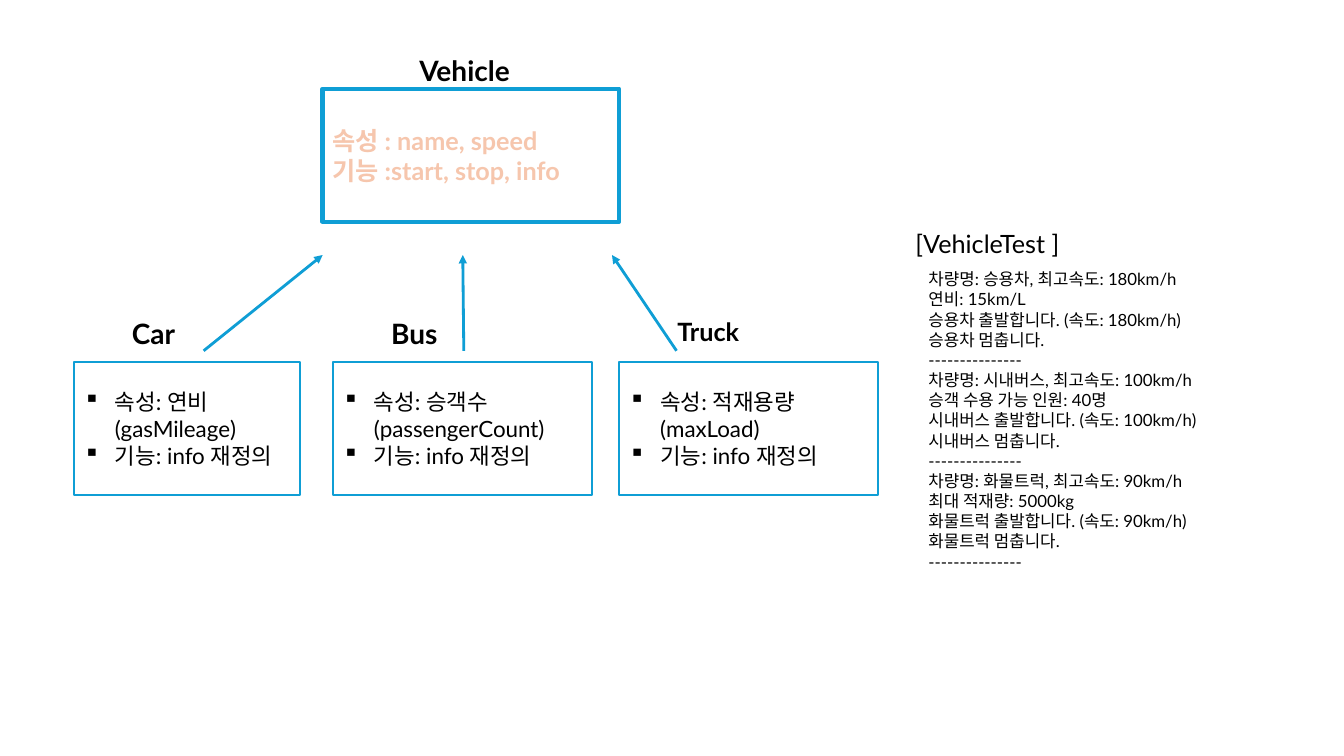
from dataclasses import dataclass

from lxml.etree import SubElement
from pptx import Presentation
from pptx.dml.color import RGBColor
from pptx.enum.shapes import MSO_CONNECTOR, MSO_SHAPE
from pptx.enum.text import MSO_ANCHOR, MSO_AUTO_SIZE, PP_ALIGN
from pptx.oxml.ns import qn
from pptx.util import Inches, Pt

COLORS = {
    "blue": "0F9ED5",
    "white": "FFFFFF",
    "black": "000000",
    "peach": "F6C6AD",
    "orange": "E97132",
}
FONT = "Lato"
BOX_HEIGHT = 1.32
CHILD_TOP = 3.59
LABEL_TOP = 3.09
ARROW_START, ARROW_END = 3.48, 2.53
INDENT = Inches(0.31)


@dataclass
class ChildClass:
    name: str
    attribute: str
    left: float
    width: float
    label_left: float
    label_width: float
    arrow_from: float
    arrow_to: float
    label_height: float = 0.44
    label_size: int = 20


CHILDREN = [
    ChildClass("Car", "연비(gasMileage)", 0.73, 2.25, 1.21, 0.65, 2.02, 3.2),
    ChildClass("Bus", "승객수(passengerCount)", 3.3, 2.57, 3.78, 0.68, 4.6, 4.59),
    ChildClass("Truck", "적재용량(maxLoad)", 6.14, 2.57, 6.62, 0.88, 6.71, 6.07, 0.4, 18),
]


@dataclass
class TestRun:
    vehicle: str
    speed: str
    detail: str

    def lines(self) -> list[str]:
        return [
            f"차량명: {self.vehicle}, 최고속도: {self.speed}",
            self.detail,
            f"{self.vehicle} 출발합니다. (속도: {self.speed})",
            f"{self.vehicle} 멈춥니다.",
            "-" * 15,
        ]


TEST_RUNS = [
    TestRun("승용차", "180km/h", "연비: 15km/L"),
    TestRun("시내버스", "100km/h", "승객 수용 가능 인원: 40명"),
    TestRun("화물트럭", "90km/h", "최대 적재량: 5000kg"),
]


def rgb(name: str) -> RGBColor:
    return RGBColor.from_string(COLORS[name])


def outline_text(span, color: str) -> None:
    """Stroke the letters; the line must come first in the run properties."""
    properties = span._r.get_or_add_rPr()
    stroke = SubElement(properties, qn("a:ln"), w=str(Pt(1.75)))
    fill = SubElement(stroke, qn("a:solidFill"))
    SubElement(fill, qn("a:srgbClr"), val=COLORS[color])
    properties.insert(0, stroke)


def write_text(shape, lines: list[str], size: int, color: str = "black",
               bold: bool = False, bullet: str = "", outline: str = "") -> None:
    frame = shape.text_frame
    frame.word_wrap = True
    for index, line in enumerate(lines):
        para = frame.add_paragraph() if index else frame.paragraphs[0]
        para.alignment = PP_ALIGN.LEFT
        span = para.add_run()
        span.text = line
        span.font.size = Pt(size)
        span.font.bold = bold
        span.font.name = FONT
        span.font.color.rgb = rgb(color)
        if bullet:
            properties = para._p.get_or_add_pPr()
            properties.set("marL", str(INDENT))
            properties.set("indent", str(-INDENT))
            SubElement(properties, qn("a:buChar"), char=bullet)
        if outline:
            outline_text(span, outline)


def add_box(page, left: float, top: float, width: float, line_width: float):
    box = page.shapes.add_shape(MSO_SHAPE.RECTANGLE, Inches(left), Inches(top),
                                Inches(width), Inches(BOX_HEIGHT))
    box.shadow.inherit = False
    box.fill.solid()
    box.fill.fore_color.rgb = rgb("white")
    box.line.color.rgb = rgb("blue")
    box.line.width = Pt(line_width)
    box.text_frame.vertical_anchor = MSO_ANCHOR.MIDDLE
    return box


def add_label(page, lines: list[str], left: float, top: float, width: float,
              height: float, size: int, bold: bool = False) -> None:
    label = page.shapes.add_textbox(Inches(left), Inches(top),
                                    Inches(width), Inches(height))
    label.text_frame.auto_size = MSO_AUTO_SIZE.SHAPE_TO_FIT_TEXT
    write_text(label, lines, size, bold=bold)


def add_arrow(page, start_x: float, end_x: float) -> None:
    arrow = page.shapes.add_connector(
        MSO_CONNECTOR.STRAIGHT, Inches(start_x), Inches(ARROW_START),
        Inches(end_x), Inches(ARROW_END))
    arrow.line.color.rgb = rgb("blue")
    arrow.line.width = Pt(2)
    properties = arrow._element.spPr
    SubElement(properties.find(qn("a:ln")), qn("a:tailEnd"), type="triangle")
    SubElement(properties, qn("a:effectLst"))


def add_child(page, child: ChildClass) -> None:
    add_arrow(page, child.arrow_from, child.arrow_to)
    box = add_box(page, child.left, CHILD_TOP, child.width, 1.5)
    write_text(box, [f"속성: {child.attribute}", "기능: info 재정의"], 16, bullet="▪")
    add_label(page, [child.name], child.label_left, LABEL_TOP, child.label_width,
              child.label_height, child.label_size, bold=True)


def main() -> None:
    deck = Presentation()
    deck.slide_width, deck.slide_height = Inches(13.33), Inches(7.5)
    page = deck.slides.add_slide(deck.slide_layouts.get_by_name("Blank"))

    parent = add_box(page, 3.2, 0.88, 2.94, 3)
    write_text(parent, ["속성 : name, speed", "기능 :start, stop, info"], 18,
               color="peach", bold=True, outline="orange")
    add_label(page, ["Vehicle"], 4.06, 0.48, 1.18, 0.44, 20, bold=True)
    for child in CHILDREN:
        add_child(page, child)

    add_label(page, ["[VehicleTest ]"], 8.98, 2.22, 1.91, 0.4, 18)
    output = [line for run in TEST_RUNS for line in run.lines()]
    add_label(page, output, 9.11, 2.62, 2.93, 3.13, 12)
    deck.save("out.pptx")


if __name__ == "__main__":
    main()
